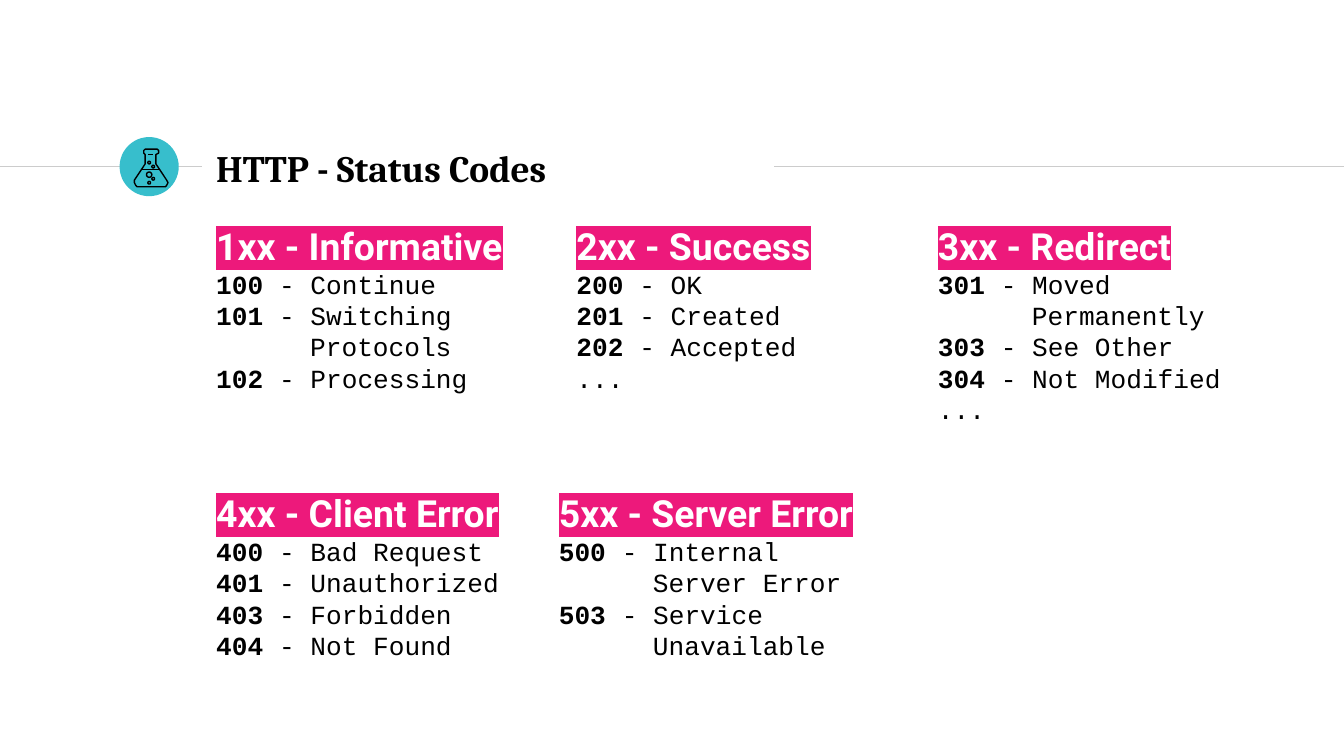
from pptx import Presentation
from pptx.dml.color import RGBColor
from pptx.enum.shapes import MSO_CONNECTOR, MSO_SHAPE
from pptx.enum.text import MSO_ANCHOR
from pptx.oxml.ns import qn
from pptx.util import Pt
from lxml import etree

LINE = MSO_CONNECTOR.STRAIGHT
OVAL = MSO_SHAPE.OVAL
MID = MSO_ANCHOR.MIDDLE
TOP = MSO_ANCHOR.TOP

SCALE = 9144  # EMU per px, 100 px to the inch
COLORS = {"ink": "000000", "white": "FFFFFF", "pink": "ED197B",
          "teal": "37BECC", "rule": "CCCCCC"}
HANG = 70  # width of "100 - " in the code font


def emu(*px):
    return [n * SCALE for n in px]


def rgb(name):
    return RGBColor.from_string(COLORS[name])


class Deck:
    def __init__(self, wide):
        self.prs = Presentation()
        self.prs.slide_width = wide * SCALE
        self.prs.slide_height = wide * SCALE * 9 // 16
        self.slide = self.prs.slides.add_slide(self.prs.slide_layouts[6])
        self.shapes = self.slide.shapes

    def stroke(self, shape, color):
        shape.line.color.rgb = rgb(color)
        shape.line.width = Pt(0.75)

    def rule(self, shapes, x1, x2, y, color):
        line = shapes.add_connector(LINE, *emu(x1, y, x2, y))
        self.stroke(line, color)
        etree.SubElement(line._element.spPr, qn("a:effectLst"))

    def disc(self, shapes, x, y, size, fill=None, line=None):
        disc = shapes.add_shape(OVAL, *emu(x, y, size, size))
        disc.shadow.inherit = False
        if fill:
            disc.fill.solid()
            disc.fill.fore_color.rgb = rgb(fill)
        else:
            disc.fill.background()
        if line:
            self.stroke(disc, line)
        else:
            disc.line.fill.background()

    def outline(self, shapes, points, color):
        pen = shapes.build_freeform(*points[0], scale=SCALE)
        pen.add_line_segments(points[1:], close=True)
        shape = pen.convert_to_shape()
        shape.shadow.inherit = False
        shape.fill.background()
        self.stroke(shape, color)

    def box(self, x, y, wide, high, anchor=TOP):
        frame = self.shapes.add_textbox(*emu(x, y, wide, high)).text_frame
        frame.word_wrap = True
        frame.vertical_anchor = anchor
        frame.margin_left, frame.margin_top = emu(10, 10)
        frame.margin_right, frame.margin_bottom = emu(10, 10)
        return frame

    def style(self, run, face, size, color="ink", bold=False, mark=None):
        font = run.font
        font.name, font.size, font.bold = face, Pt(size), bold
        font.color.rgb = rgb(color)
        if mark:
            glow = etree.Element(qn("a:highlight"))
            etree.SubElement(glow, qn("a:srgbClr"), val=COLORS[mark])
            font._element.find(qn("a:solidFill")).addnext(glow)

    def title(self, text, *place):
        frame = self.box(*place, anchor=MID)
        frame.text = text
        self.style(frame.paragraphs[0].runs[0], "Cambria", 20, bold=True)

    def codes(self, x, y, high, head, lines):
        frame = self.box(x, y, 255, high)
        frame.text = "\n".join([head] + lines)
        first, *rest = frame.paragraphs
        self.style(first.runs[0], "Roboto", 20, "white", True, "pink")
        for para in rest:
            text = para.text
            if text[0].isdigit():
                # Bold number, plain meaning
                para.runs[0].text = text[:3]
                para.add_run().text = text[3:]
            elif text[0].isalpha():
                # Second line of a long meaning
                para._p.get_or_add_pPr().set("marL", str(HANG * SCALE))
            for run in para.runs:
                self.style(run, "Courier New", 14, bold=run.text.isdigit())


deck = Deck(1000)

# Header rule, badge and title
deck.rule(deck.shapes, 0, 150, 124, "rule")
deck.disc(deck.shapes, 89, 102, 44, fill="teal")
deck.rule(deck.shapes, 576, 1000, 124, "rule")
deck.title("HTTP - Status Codes", 151, 101, 424, 48)

# Status code groups
ROW1, ROW2 = 156, 355
GROUPS = [
    (151, ROW1, 182, "1xx - Informative",
     ["100 - Continue", "101 - Switching", "Protocols", "102 - Processing"]),
    (419, ROW1, 182, "2xx - Success",
     ["200 - OK", "201 - Created", "202 - Accepted", "..."]),
    (688, ROW1, 341, "3xx - Redirect",
     ["301 - Moved", "Permanently", "303 - See Other",
      "304 - Not Modified", "..."]),
    (151, ROW2, 182, "4xx - Client Error",
     ["400 - Bad Request", "401 - Unauthorized", "403 - Forbidden",
      "404 - Not Found"]),
    (406, ROW2, 182, "5xx - Server Error",
     ["500 - Internal", "Server Error", "503 - Service", "Unavailable"]),
]
for group in GROUPS:
    deck.codes(*group)

# Flask icon: outline, levels, bubbles
flask = deck.shapes.add_group_shape().shapes
deck.outline(flask, [
    (124, 134), (116, 122), (116, 115), (118, 114), (118, 112), (117, 111),
    (108, 111), (107, 112), (107, 114), (108, 115), (108, 122), (100, 134),
    (100, 136), (101, 138), (102, 139), (123, 139), (124, 138), (125, 136),
], "ink")
for x1, x2, y in [(106, 119, 126), (110, 114, 115)]:
    deck.rule(flask, x1, x2, y, "ink")
for x, y, size in [(113, 132, 2), (109, 128, 4), (110, 135, 2),
                   (113, 123, 2), (110, 120, 2)]:
    deck.disc(flask, x, y, size, line="ink")

deck.prs.save("out.pptx")
